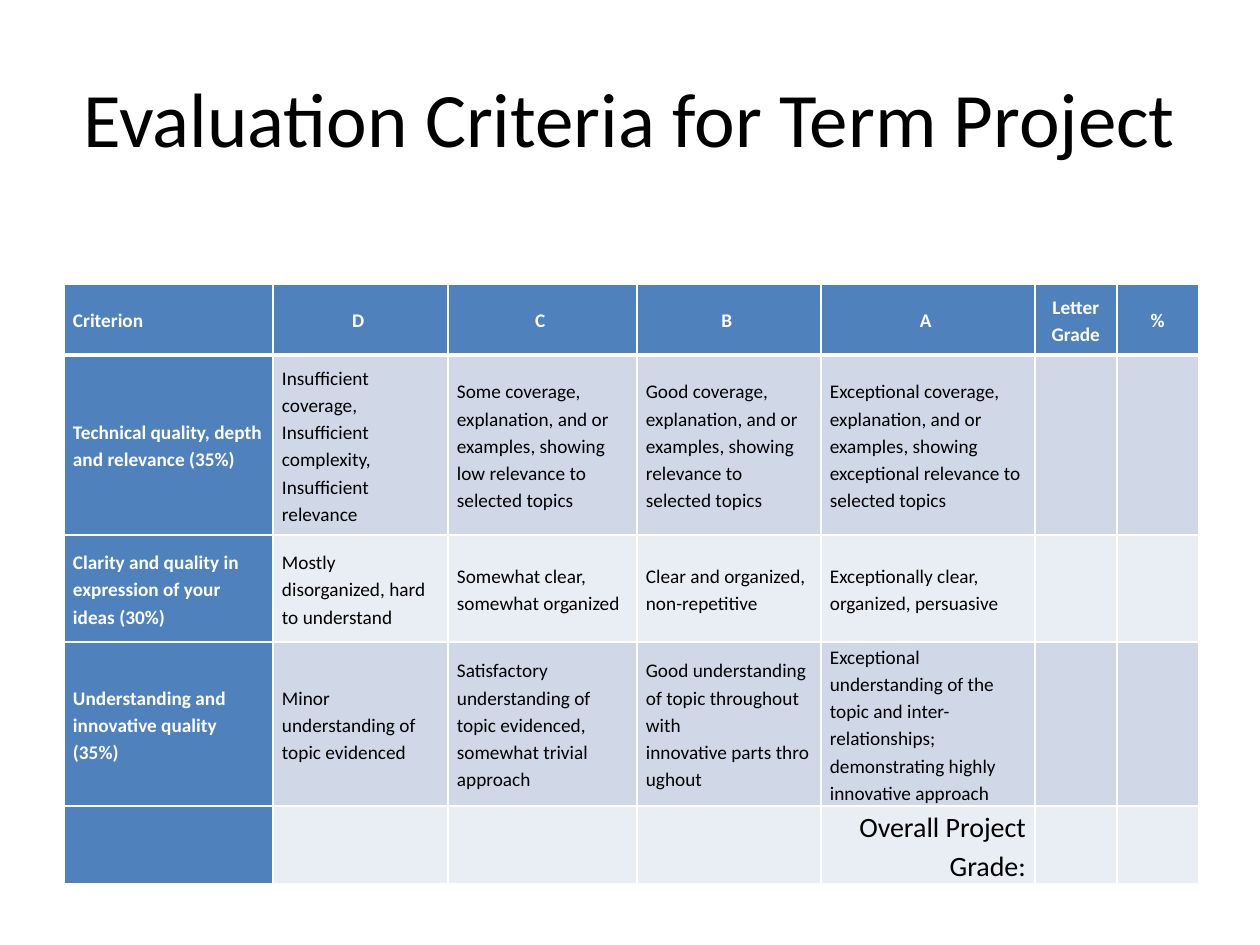
import pptx
import pptx.util
import pptx.dml.color
import pptx.enum.text
import pptx.oxml
import pptx.oxml.ns
import lxml.etree

RGBColor = pptx.dml.color.RGBColor
ALIGN = pptx.enum.text.PP_ALIGN
MIDDLE = pptx.enum.text.MSO_ANCHOR.MIDDLE

WHITE = RGBColor(0xFF, 0xFF, 0xFF)
BLACK = RGBColor(0x00, 0x00, 0x00)
BLUE = RGBColor(0x4F, 0x81, 0xBD)
BAND_DARK = RGBColor(0xD0, 0xD8, 0xE8)
BAND_LIGHT = RGBColor(0xE9, 0xED, 0xF4)

PIXEL = 914400 // 126
COLUMN_WIDTHS = [209, 175, 189, 184, 214, 82, 82]
ROW_HEIGHTS = [71, 180, 107, 164, 78]
CRITERIA = [
    ["Criterion\u00a0", "D\u00a0", "C\u00a0", "B\u00a0", "A\u00a0", "Letter Grade", "%"],
    ["Technical quality, depth and relevance (35%)",
     "Insufficient coverage,\nInsufficient complexity, Insufficient relevance",
     "Some coverage, explanation, and or examples, showing low relevance to selected topics",
     "Good coverage, explanation, and or examples, showing relevance to selected topics",
     "Exceptional coverage, explanation, and or examples, showing exceptional relevance to selected topics",
     "", ""],
    ["Clarity and quality in expression of your ideas (30%)",
     "Mostly disorganized, hard to understand",
     "Somewhat clear, somewhat organized\u00a0",
     "Clear\u00a0and organized, non-repetitive",
     "Exceptionally clear, organized, persuasive",
     "", ""],
    ["Understanding and innovative quality (35%)",
     "Minor understanding of topic evidenced",
     "Satisfactory understanding of topic evidenced, somewhat trivial approach",
     "Good understanding of topic throughout with innovative\u00a0parts\u00a0throughout",
     "Exceptional understanding of the topic and inter-relationships; demonstrating highly innovative approach",
     "", ""],
    ["", "", "", "", "Overall Project Grade:", "", ""],
]


def px(length):
    return pptx.util.Emu(length * PIXEL)


def write(frame, text, size=11, color=BLACK, bold=False, align=ALIGN.LEFT,
          spacing=1.0, font="Calibri"):
    frame.word_wrap = True
    for index, line in enumerate(text.split("\n")):
        para = frame.add_paragraph() if index else frame.paragraphs[0]
        para.alignment = align
        para.line_spacing = spacing
        para.font.size = pptx.util.Pt(size)
        if line:
            span = para.add_run()
            span.text = line
            span.font.name = font
            span.font.size = pptx.util.Pt(size)
            span.font.bold = bold
            span.font.color.rgb = color


def set_borders(cell, bottom):
    properties = cell._tc.get_or_add_tcPr()
    widths = {"lnL": 1, "lnR": 1, "lnT": 1, "lnB": bottom}
    for index, (side, width) in enumerate(widths.items()):
        line = pptx.oxml.parse_xml(
            f'<a:{side} {pptx.oxml.ns.nsdecls("a")} w="{pptx.util.Pt(width)}">'
            f'<a:solidFill><a:srgbClr val="{WHITE}"/></a:solidFill></a:{side}>')
        properties.insert(index, line)


class Slide:
    def __init__(self, deck):
        self.page = deck.slides.add_slide(deck.slide_layouts[6])

    def title(self, text, left, top, width, height):
        box = self.page.shapes.add_textbox(px(left), px(top), px(width), px(height))
        box.text_frame.vertical_anchor = MIDDLE
        write(box.text_frame, text, size=44, align=ALIGN.CENTER)

    def table(self, rows, left, top, widths, heights):
        table = self.page.shapes.add_table(
            len(heights), len(widths), px(left), px(top),
            px(sum(widths)), px(sum(heights))).table
        for column, width in zip(table.columns, widths):
            column.width = px(width)
        for row, height in zip(table.rows, heights):
            row.height = px(height)
        for row, texts in enumerate(rows):
            for column, text in enumerate(texts):
                self.cell(table.cell(row, column), text, row, column, len(rows) - 1)

    def cell(self, cell, text, row, column, last):
        heading = row == 0 or column == 0
        band = BAND_DARK if row % 2 else BAND_LIGHT
        cell.fill.solid()
        cell.fill.fore_color.rgb = BLUE if heading else band
        cell.vertical_anchor = MIDDLE
        cell.margin_left = cell.margin_right = px(9)
        cell.margin_top = cell.margin_bottom = 0
        set_borders(cell, bottom=1 if row else 3)
        align = ALIGN.LEFT
        if row == 0 and column:
            align = ALIGN.CENTER
        elif row == last:
            align = ALIGN.RIGHT
        write(cell.text_frame, text, size=16 if row == last else 11,
              color=WHITE if heading else BLACK, bold=heading,
              align=align, spacing=1.15)


deck = pptx.Presentation()
deck.slide_width = px(1260)
deck.slide_height = px(945)
slide = Slide(deck)
slide.title("Evaluation Criteria for Term Project", 63, 38, 1134, 157)
slide.table(CRITERIA, 64, 284, COLUMN_WIDTHS, ROW_HEIGHTS)
deck.save("out.pptx")
